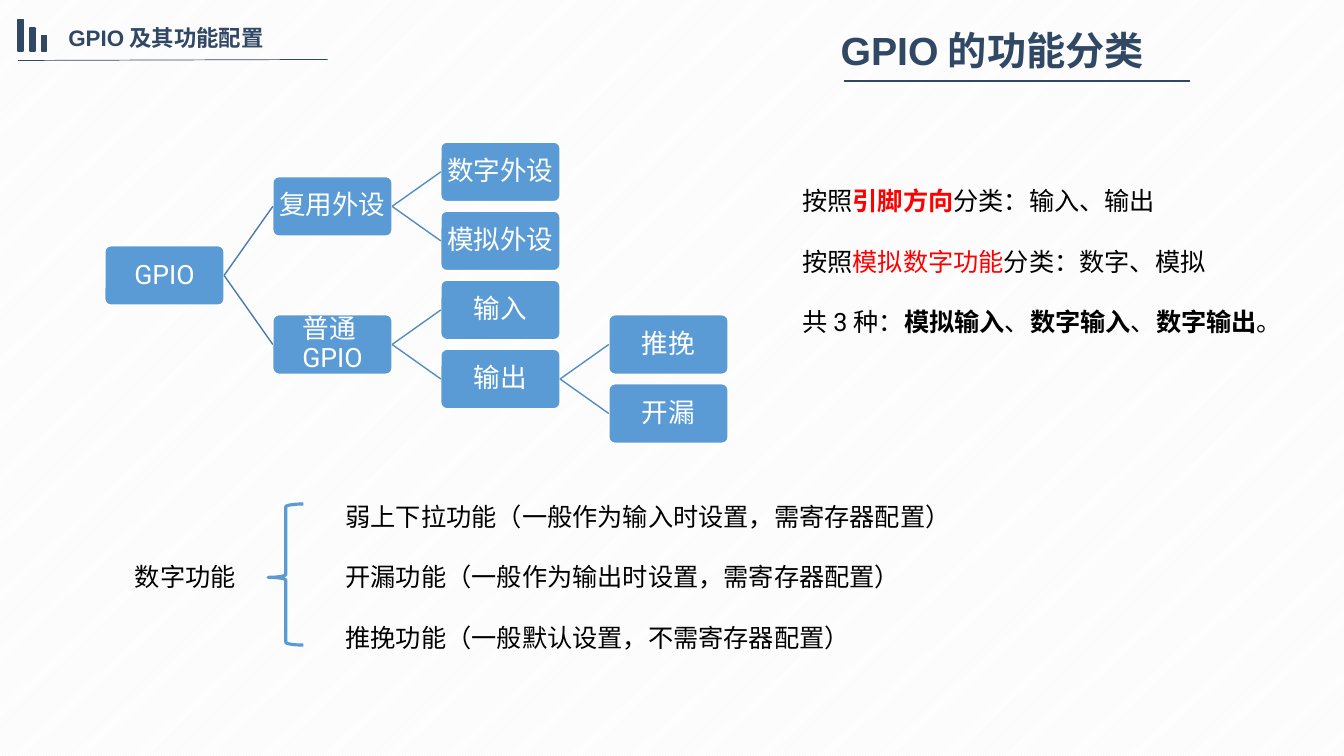
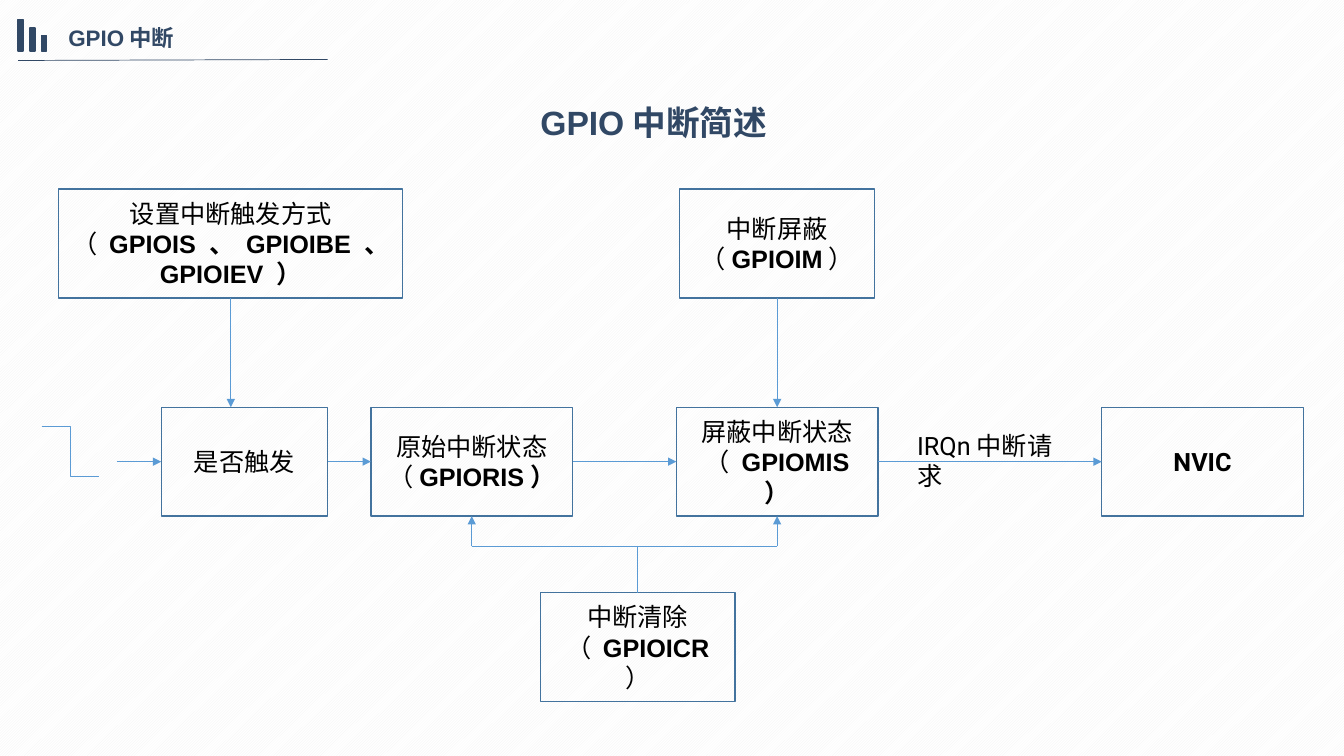
"""Build two slides on GPIO functions and GPIO interrupts."""
from lxml import etree
from pptx import Presentation
from pptx import util as u
from pptx.dml.color import RGBColor
from pptx.enum import dml, shapes, text
from pptx.oxml.ns import qn

COLORS = {
    "navy": "314865", "blue": "5B9BD5", "border": "43739E", "trunk": "497CAB",
    "branch": "538DC1", "red": "FF0000", "black": "000000", "white": "FFFFFF",
    "stripe": "F2F2F2",
}
STYLES = {
    "plain": {},
    "bold": {"bold": True},
    "register": {"bold": True, "font": "Arial"},
    "red": {"color": "red"},
    "red bold": {"color": "red", "bold": True},
}
COLUMNS, ROWS = 40, 30
CENTER, LEFT = text.PP_ALIGN.CENTER, text.PP_ALIGN.LEFT
TOP_SIDE, LEFT_SIDE, BOTTOM_SIDE, RIGHT_SIDE = range(4)


def color(name):
    return RGBColor.from_string(COLORS[name])


class Deck:
    def __init__(self):
        self.presentation = Presentation()
        self.presentation.slide_width = u.Inches(13.33)
        self.presentation.slide_height = u.Inches(7.5)
        fill = self.presentation.slide_master.background.fill
        fill.patterned()
        fill.pattern = dml.MSO_PATTERN.DARK_UPWARD_DIAGONAL
        fill.fore_color.rgb = color("stripe")
        fill.back_color.rgb = color("white")
        self.slide = None

    def x(self, columns):
        return round(self.presentation.slide_width * columns / COLUMNS)

    def y(self, rows):
        return round(self.presentation.slide_height * rows / ROWS)

    def frame(self, left, top, width, height):
        return self.x(left), self.y(top), self.x(width), self.y(height)

    def set_text(self, text_frame, paragraphs, size=18, font="Roboto", ink="black",
                 bold=False, align=LEFT, gap=0, spacing=None):
        text_frame.word_wrap = True
        for index, segments in enumerate(paragraphs):
            paragraph = text_frame.add_paragraph() if index else text_frame.paragraphs[0]
            paragraph.alignment = align
            paragraph.space_before = u.Pt(gap if index else 0)
            if spacing:
                paragraph.line_spacing = spacing
            if isinstance(segments, str):
                segments = [(segments, "plain")]
            for words, style_name in segments:
                style = STYLES[style_name]
                run = paragraph.add_run()
                run.text = words
                run.font.size = u.Pt(size)
                run.font.name = style.get("font", font)
                run.font.bold = style.get("bold", bold)
                run.font.color.rgb = color(style.get("color", ink))

    def add_slide(self, header, title, place, size, align):
        self.slide = self.presentation.slides.add_slide(self.presentation.slide_layouts[5])
        placeholder = self.slide.shapes.title
        placeholder.left, placeholder.top, placeholder.width, placeholder.height = self.frame(*place)
        placeholder.text_frame.auto_size = text.MSO_AUTO_SIZE.NONE
        placeholder.text_frame.vertical_anchor = text.MSO_ANCHOR.MIDDLE
        self.set_text(placeholder.text_frame, [title], size, "Arial", "navy", True, align)
        self.line((0.54, 2.4), (9.75, 2.36), "navy")
        self.label((1.74, 0.76, 7.98, 1.48), [header], size=16, font="Arial", ink="navy", bold=True)
        for index, height in enumerate((1.26, 0.92, 0.62)):
            self.shape("RECTANGLE", (0.54 + 0.35 * index, 2.03 - height, 0.15, height),
                       fill="navy", border="navy")

    def label(self, place, paragraphs, **style):
        box = self.slide.shapes.add_textbox(*self.frame(*place))
        self.set_text(box.text_frame, paragraphs, **style)

    def shape(self, kind, place, fill=None, border="border", width=1, adjustments=()):
        shape = self.slide.shapes.add_shape(shapes.MSO_SHAPE[kind], *self.frame(*place))
        shape.shadow.inherit = False
        if fill:
            shape.fill.solid()
            shape.fill.fore_color.rgb = color(fill)
        else:
            shape.fill.background()
        shape.line.color.rgb = color(border)
        shape.line.width = u.Pt(width)
        for index, value in enumerate(adjustments):
            shape.adjustments[index] = value
        return shape

    def node(self, place, words):
        shape = self.shape("ROUNDED_RECTANGLE", place, "blue", "white", adjustments=[0.1])
        self.fit(shape.text_frame, 0.01)
        self.set_text(shape.text_frame, [words], size=19, ink="white", align=CENTER, spacing=0.9)
        return shape

    def box(self, place, paragraphs):
        shape = self.shape("RECTANGLE", place)
        self.fit(shape.text_frame, 0.1)
        self.set_text(shape.text_frame, paragraphs, align=CENTER)
        return shape

    def fit(self, text_frame, side):
        text_frame.vertical_anchor = text.MSO_ANCHOR.MIDDLE
        text_frame.margin_left = text_frame.margin_right = u.Inches(side)
        text_frame.margin_top = text_frame.margin_bottom = 0

    def line(self, start, end, ink="blue", width=0.5, arrow=False, kind="STRAIGHT"):
        ends = [point if isinstance(point[0], (int, float)) else None for point in (start, end)]
        (x1, y1), (x2, y2) = [point or (0, 0) for point in ends]
        connector = self.slide.shapes.add_connector(
            shapes.MSO_CONNECTOR[kind], self.x(x1), self.y(y1), self.x(x2), self.y(y2))
        if ends[0] is None:
            connector.begin_connect(*start)
        if ends[1] is None:
            connector.end_connect(*end)
        connector.line.color.rgb = color(ink)
        connector.line.width = u.Pt(width)
        properties = connector._element.spPr
        if arrow:
            etree.SubElement(properties.find(qn("a:ln")), qn("a:tailEnd"), type="triangle")
        etree.SubElement(properties, qn("a:effectLst"))


def build_functions(deck):
    deck.add_slide("GPIO及其功能配置", "GPIO的功能分类", (24.72, 0.84, 10.71, 2.28), 28, LEFT)
    deck.line((25.11, 3.2), (35.43, 3.2), "navy", 1.5)

    tree = [
        ("GPIO", 0, 3, None),
        ("复用外设", 1, 1, "GPIO"), ("普通GPIO", 1, 5, "GPIO"),
        ("数字外设", 2, 0, "复用外设"), ("模拟外设", 2, 2, "复用外设"),
        ("输入", 2, 4, "普通GPIO"), ("输出", 2, 6, "普通GPIO"),
        ("推挽", 3, 5, "输出"), ("开漏", 3, 7, "输出"),
    ]
    nodes = {}
    for name, level, step, parent in tree:
        nodes[name] = deck.node((3.12 + 5 * level, 5.64 + 1.37 * step, 3.55, 2.36), name)
        if parent:
            deck.line((nodes[parent], RIGHT_SIDE), (nodes[name], LEFT_SIDE),
                      "trunk" if level == 1 else "branch", 1)

    deck.label((23.58, 7.16, 15, 6.48), [
        [("按照", "plain"), ("引脚方向", "red bold"), ("分类：输入、输出", "plain")],
        [("按照", "plain"), ("模拟数字功能", "red"), ("分类：数字、模拟", "plain")],
        [("共3种：", "plain"), ("模拟输入", "bold"), ("、", "plain"), ("数字输入", "bold"),
         ("、", "plain"), ("数字输出", "bold"), ("。", "plain")],
    ], gap=21.6)

    deck.label((3.72, 22.08, 5.31, 1.48), ["数字功能"])
    deck.shape("LEFT_BRACE", (7.98, 20, 1.05, 5.6), border="blue", width=2.25,
               adjustments=[0.08, 0.52])
    deck.label((9.99, 19.68, 19.53, 7.04), [
        "弱上下拉功能（一般作为输入时设置，需寄存器配置）",
        "开漏功能（一般作为输出时设置，需寄存器配置）",
        "推挽功能（一般默认设置，不需寄存器配置）",
    ], gap=21.6)


def build_interrupts(deck):
    deck.add_slide("GPIO中断", "GPIO中断简述", (6.9, 3.8, 25.11, 2.1), 24, CENTER)
    upper, middle, lower, height = 7.5, 16.16, 23.52, 4.32
    axis, bus = middle + height / 2, 21.68

    setup = deck.box((1.75, upper, 10.24, height), [
        [("设置中断触发方式（", "plain"), (" GPIOIS 、 GPIOIBE 、 GPIOIEV ）", "register")]])
    mask = deck.box((20.23, upper, 5.8, height), [
        "中断屏蔽", [("（", "plain"), ("GPIOIM", "register"), ("）", "plain")]])
    trigger = deck.box((4.8, middle, 4.95, height), ["是否触发"])
    raw = deck.box((11.04, middle, 6, height), [
        [("原始中断状态（", "plain"), ("GPIORIS）", "register")]])
    masked = deck.box((20.13, middle, 6, height), [
        "屏蔽中断状态", [("（", "plain"), (" GPIOMIS ）", "register")]])
    controller = deck.box((32.79, middle, 6, height), [[("NVIC", "bold")]])
    clear = deck.box((16.08, lower, 5.8, height), [
        "中断清除", [("（ ", "plain"), ("GPIOICR ", "register"), ("）", "plain")]])

    deck.line((1.24, 16.92), (2.95, 18.9), kind="ELBOW")
    deck.line((3.48, axis), (trigger, LEFT_SIDE), arrow=True)
    chain = [trigger, raw, masked, controller]
    for source, target in zip(chain, chain[1:]):
        deck.line((source, RIGHT_SIDE), (target, LEFT_SIDE), arrow=True)
    deck.line((setup, BOTTOM_SIDE), (6.87, middle), arrow=True)
    deck.line((mask, BOTTOM_SIDE), (masked, TOP_SIDE), arrow=True)

    raw_center, masked_center, clear_center = 14.04, 23.13, 18.98
    deck.line((raw_center, bus), (masked_center, bus))
    deck.line((clear, TOP_SIDE), (clear_center, bus))
    for center, target in ((raw_center, raw), (masked_center, masked)):
        deck.line((center, bus), (target, BOTTOM_SIDE), arrow=True)
    deck.label((27, 16.88, 5.16, 1.6), ["IRQn中断请求"])


def main():
    deck = Deck()
    build_functions(deck)
    build_interrupts(deck)
    deck.presentation.save("out.pptx")


if __name__ == "__main__":
    main()
